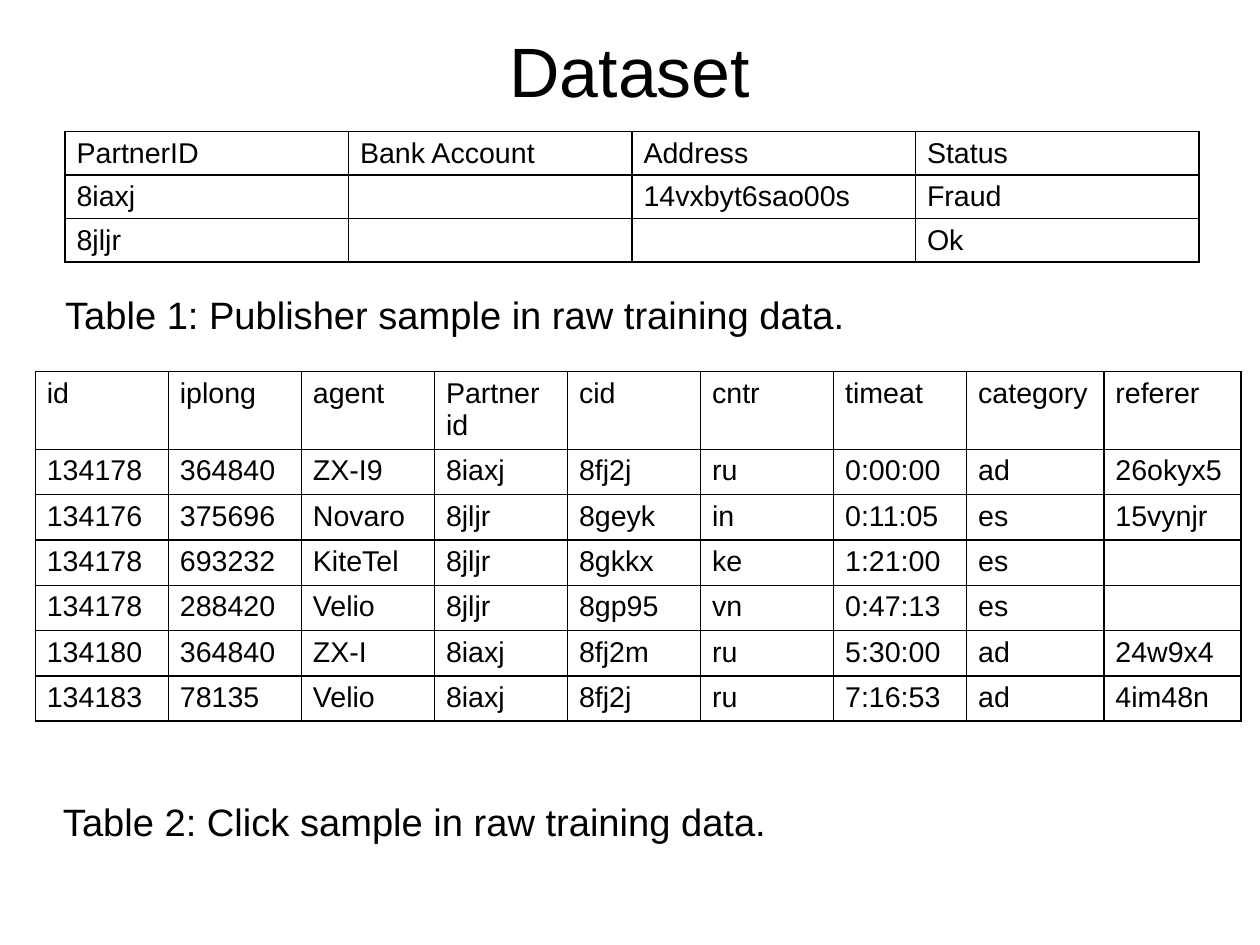
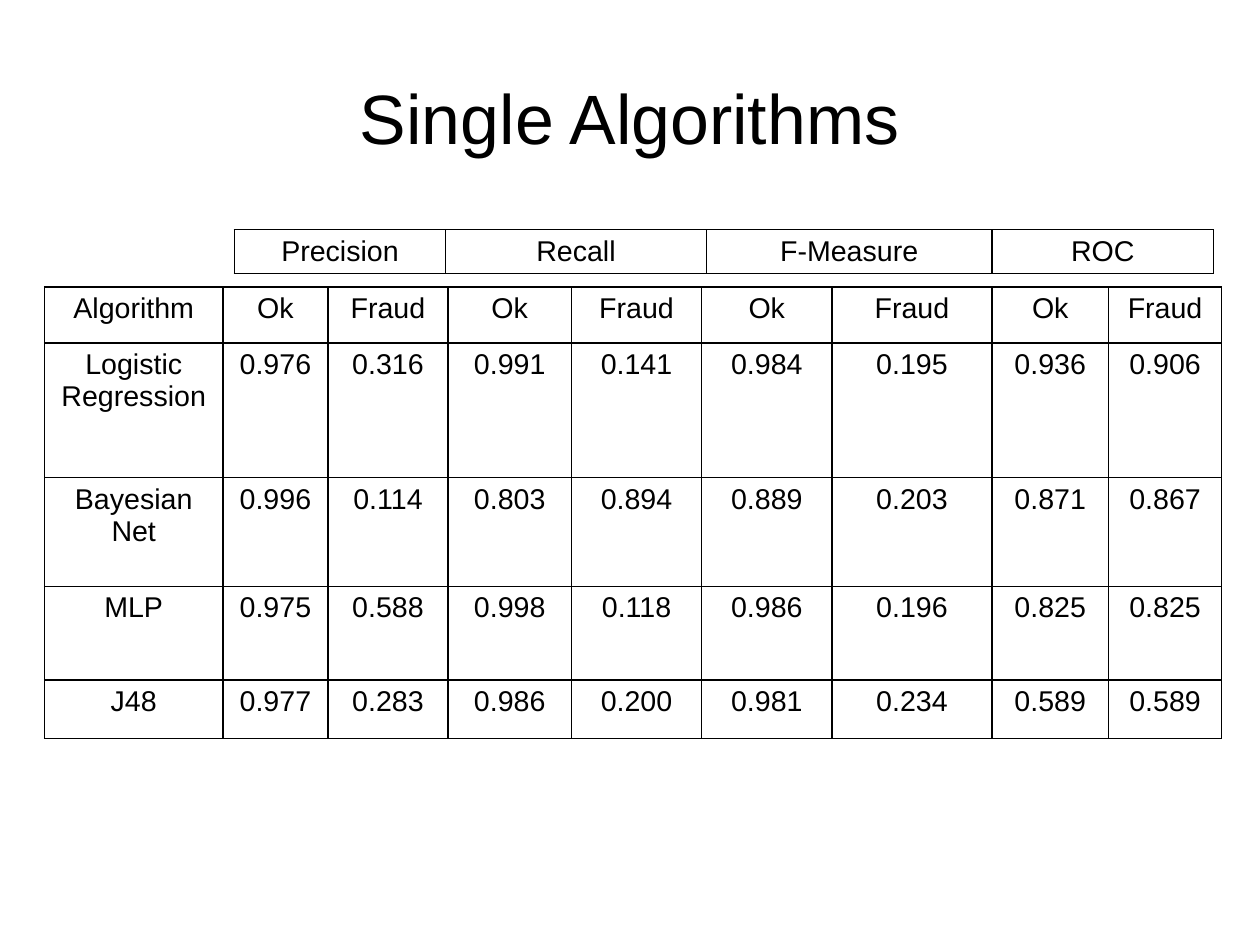
from dataclasses import dataclass

from lxml import etree
from pptx import Presentation
from pptx.dml.color import RGBColor
from pptx.enum.text import MSO_ANCHOR, PP_ALIGN
from pptx.oxml.ns import qn
from pptx.slide import Slide
from pptx.table import _Cell
from pptx.text.text import TextFrame
from pptx.util import Emu, Inches, Pt

# Shared style
LEFT, CENTER = PP_ALIGN.LEFT, PP_ALIGN.CENTER
MIDDLE = MSO_ANCHOR.MIDDLE
BLACK = RGBColor(0x00, 0x00, 0x00)
FONT = "Arial"
TITLE_SIZE, CAPTION_SIZE, CELL_SIZE = 44, 24, 18
BORDER_WIDTH = Pt(1)
BORDER_SIDES = ("a:lnL", "a:lnR", "a:lnT", "a:lnB")
BLANK_LAYOUT = 6

# Page frame: the slide in EMU, the rest in inches
SLIDE_WIDTH, SLIDE_HEIGHT = Emu(10080625), Emu(7559675)
MARGIN = 0.05 * SLIDE_WIDTH.inches
CONTENT_WIDTH = 0.9 * SLIDE_WIDTH.inches
TABLE_LEFT = 0.57
CAPTION_INSET = 0.19
CELL_BOTTOM_MARGIN = 0.03


@dataclass(frozen=True)
class TextBand:
    text: str
    top: float
    height: float
    left: float = MARGIN
    size: int = TITLE_SIZE
    alignment: PP_ALIGN = CENTER
    inset: float = 0


@dataclass(frozen=True)
class Grid:
    left: float
    top: float
    columns: list[float]
    rows: list[float]
    cells: list[list[str]]
    alignment: PP_ALIGN = LEFT


@dataclass(frozen=True)
class Page:
    bands: list[TextBand]
    grids: list[Grid]


def caption(text: str, top: float, height: float, left: float = MARGIN) -> TextBand:
    return TextBand(text, top, height, left, CAPTION_SIZE, LEFT, CAPTION_INSET)


# Slide 1: samples of the raw data
PUBLISHERS = [
    ["PartnerID", "Bank Account", "Address", "Status"],
    ["8iaxj", "", "14vxbyt6sao00s", "Fraud"],
    ["8jljr", "", "", "Ok"],
]
CLICKS = [
    ["id", "iplong", "agent", "Partner\nid", "cid", "cntr", "timeat", "category", "referer"],
    ["134178", "364840", "ZX-I9", "8iaxj", "8fj2j", "ru", "0:00:00", "ad", "26okyx5"],
    ["134176", "375696", "Novaro", "8jljr", "8geyk", "in", "0:11:05", "es", "15vynjr"],
    ["134178", "693232", "KiteTel", "8jljr", "8gkkx", "ke", "1:21:00", "es", ""],
    ["134178", "288420", "Velio", "8jljr", "8gp95", "vn", "0:47:13", "es", ""],
    ["134180", "364840", "ZX-I", "8iaxj", "8fj2m", "ru", "5:30:00", "ad", "24w9x4"],
    ["134183", "78135", "Velio", "8iaxj", "8fj2j", "ru", "7:16:53", "ad", "4im48n"],
]
CLICK_COLUMNS = [(10.55 - 2 * 1.2) / 7] * 7 + [1.2] * 2
CLICK_ROWS = [0.68] + [(3.06 - 0.68) / 6] * 6
DATASET = Page(
    bands=[
        TextBand("Dataset", 0.19, 0.83),
        caption("Table 1: Publisher sample in raw training data.", 2.31, 0.69, TABLE_LEFT),
        caption("Table 2: Click sample in raw training data.", 6.54, 1.1),
    ],
    grids=[
        Grid(TABLE_LEFT, 1.15, [CONTENT_WIDTH / 4] * 4, [0.38] * 3, PUBLISHERS),
        Grid(0.31, 3.25, CLICK_COLUMNS, CLICK_ROWS, CLICKS),
    ],
)

# Slide 2: scores of each algorithm, an Ok and Fraud pair per measure
MEASURES = ["Precision", "Recall", "F-Measure", "ROC"]
SCORES = [
    ["Algorithm"] + ["Ok", "Fraud"] * len(MEASURES),
    ["Logistic Regression", "0.976", "0.316", "0.991", "0.141", "0.984", "0.195", "0.936", "0.906"],
    ["Bayesian Net", "0.996", "0.114", "0.803", "0.894", "0.889", "0.203", "0.871", "0.867"],
    ["MLP", "0.975", "0.588", "0.998", "0.118", "0.986", "0.196", "0.825", "0.825"],
    ["J48", "0.977", "0.283", "0.986", "0.200", "0.981", "0.234", "0.589", "0.589"],
]
SCORE_COLUMNS = [1.56, 0.92, 1.05, 1.08, 1.14, 1.14, 1.4, 1.02, 0.99]
SCORE_ROWS = [0.49, 1.18, 0.95, 0.82, 0.51]
ALGORITHMS = Page(
    bands=[TextBand("Single Algorithms", 0.33, 1.38)],
    grids=[
        Grid(0.39, 2.51, SCORE_COLUMNS, SCORE_ROWS, SCORES, CENTER),
        Grid(2.05, 2.01, [1.85, 2.28, 2.5, 1.94], [0.38], [MEASURES], CENTER),
    ],
)


def write_text(frame: TextFrame, text: str, size: int, alignment: PP_ALIGN) -> None:
    """Write one paragraph per line of text."""
    for index, line in enumerate(text.split("\n")):
        paragraph = frame.add_paragraph() if index else frame.paragraphs[0]
        paragraph.alignment = alignment
        if line:
            run = paragraph.add_run()
            run.text = line
            run.font.name = FONT
            run.font.size = Pt(size)
            run.font.color.rgb = BLACK


def draw_band(slide: Slide, band: TextBand) -> None:
    shape = slide.shapes.add_textbox(
        Inches(band.left), Inches(band.top), Inches(CONTENT_WIDTH), Inches(band.height)
    )
    frame = shape.text_frame
    frame.word_wrap = True
    frame.vertical_anchor = MIDDLE
    frame.margin_left = frame.margin_right = frame.margin_bottom = 0
    frame.margin_top = Inches(band.inset)
    write_text(frame, band.text, band.size, band.alignment)


def style_cell(cell: _Cell) -> None:
    """Give a cell black borders and no fill."""
    cell.margin_bottom = Inches(CELL_BOTTOM_MARGIN)
    properties = cell._tc.get_or_add_tcPr()
    for side in BORDER_SIDES:
        line = etree.SubElement(properties, qn(side), w=str(BORDER_WIDTH))
        fill = etree.SubElement(line, qn("a:solidFill"))
        etree.SubElement(fill, qn("a:srgbClr"), val=str(BLACK))
    cell.fill.background()


def draw_grid(slide: Slide, grid: Grid) -> None:
    table = slide.shapes.add_table(
        len(grid.rows), len(grid.columns),
        Inches(grid.left), Inches(grid.top),
        Inches(sum(grid.columns)), Inches(sum(grid.rows)),
    ).table
    table.first_row = table.horz_banding = False
    for column, width in zip(table.columns, grid.columns):
        column.width = Inches(width)
    for row, height, texts in zip(table.rows, grid.rows, grid.cells):
        row.height = Inches(height)
        for cell, text in zip(row.cells, texts):
            style_cell(cell)
            write_text(cell.text_frame, text, CELL_SIZE, grid.alignment)


def main() -> None:
    presentation = Presentation()
    presentation.slide_width = SLIDE_WIDTH
    presentation.slide_height = SLIDE_HEIGHT
    for page in (DATASET, ALGORITHMS):
        slide = presentation.slides.add_slide(presentation.slide_layouts[BLANK_LAYOUT])
        for band in page.bands:
            draw_band(slide, band)
        for grid in page.grids:
            draw_grid(slide, grid)
    presentation.save("out.pptx")


if __name__ == "__main__":
    main()
